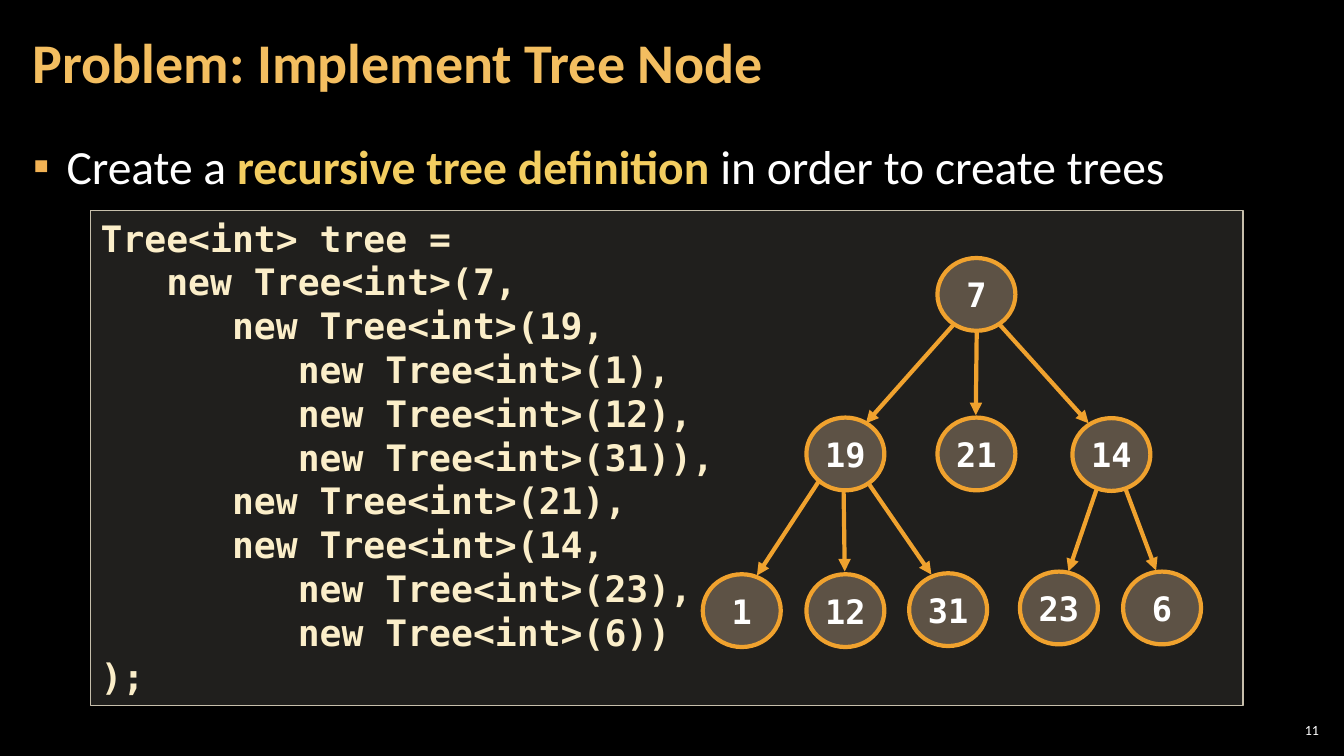
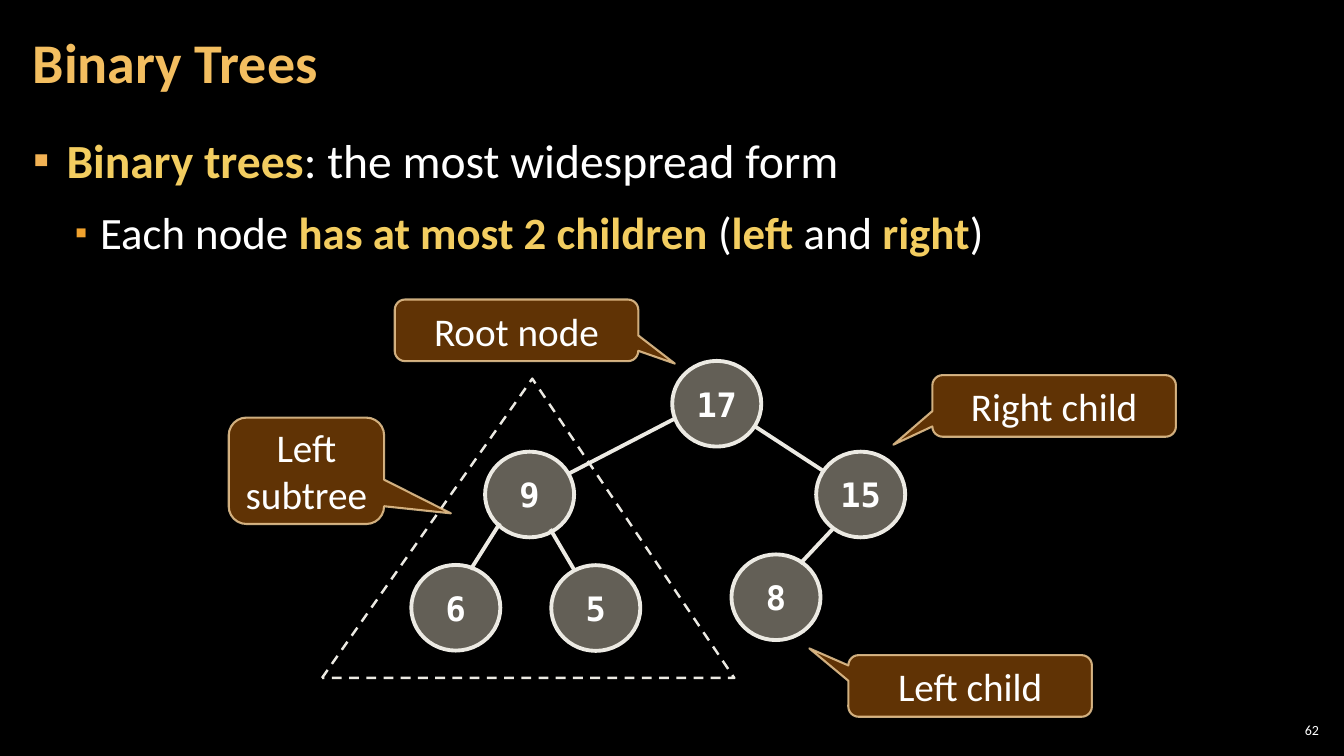
from dataclasses import dataclass

from pptx import Presentation
from pptx.dml.color import RGBColor
from pptx.enum.dml import MSO_LINE
from pptx.enum.shapes import MSO_CONNECTOR, MSO_SHAPE
from pptx.enum.text import MSO_ANCHOR, MSO_AUTO_SIZE, PP_ALIGN
from pptx.oxml.ns import qn
from pptx.oxml.xmlchemy import OxmlElement
from pptx.util import Pt

LEFT, CENTER, RIGHT = PP_ALIGN.LEFT, PP_ALIGN.CENTER, PP_ALIGN.RIGHT
TOP, MIDDLE = MSO_ANCHOR.TOP, MSO_ANCHOR.MIDDLE
NO_AUTOFIT = MSO_AUTO_SIZE.NONE
STRAIGHT = MSO_CONNECTOR.STRAIGHT
DASH = MSO_LINE.DASH
RECTANGLE, ELLIPSE = MSO_SHAPE.RECTANGLE, MSO_SHAPE.OVAL
TRIANGLE, CALLOUT = MSO_SHAPE.ISOSCELES_TRIANGLE, MSO_SHAPE.ROUNDED_RECTANGULAR_CALLOUT


@dataclass(frozen=True)
class Theme:
    font: str = "Calibri"
    code_font: str = "DejaVu Sans Mono"
    background: str = "000000"
    text: str = "FFFFFF"
    title: str = "F3BE60"
    emphasis: str = "F3CD60"
    bullets: tuple = ("F2B254", "F0A22E")
    code: str = "FBEEC9"
    panel_fill: str = "D9D5C7"
    panel_line: str = "C7BFAC"
    amber_fill: str = "ECC8A4"
    amber_line: str = "F0A22E"
    grey_fill: str = "C7BFAC"
    grey_line: str = "ECEAE3"
    callout_fill: str = "663606"
    callout_line: str = "F8D49E"
    title_size: int = 40
    body_sizes: tuple = (34, 32)
    code_size: int = 26
    node_size: int = 24
    callout_size: int = 28
    number_size: int = 10


THEME = Theme()


def paint(shape, fill, fill_opacity, line, width, line_opacity=100):
    shape.shadow.inherit = False
    shape.line.color.rgb = RGBColor.from_string(line)
    shape.line.width = Pt(width)
    properties = shape.element.spPr
    solids = [(properties.find(qn("a:ln")).find(qn("a:solidFill")), line_opacity)]
    if fill:
        shape.fill.solid()
        shape.fill.fore_color.rgb = RGBColor.from_string(fill)
        solids.append((properties.find(qn("a:solidFill")), fill_opacity))
    else:
        shape.fill.background()
    for solid, opacity in solids:
        if opacity < 100:
            alpha = OxmlElement("a:alpha")
            alpha.set("val", str(opacity * 1000))
            solid[0].append(alpha)


def write(frame, text, font, size, color, bold=False, align=LEFT, anchor=MIDDLE, wrap=True):
    frame.text = text
    frame.word_wrap = wrap
    frame.auto_size = NO_AUTOFIT
    frame.vertical_anchor = anchor
    for paragraph in frame.paragraphs:
        paragraph.alignment = align
        for run in paragraph.runs:
            run.font.name = font
            run.font.size = Pt(size)
            run.font.bold = bold
            run.font.color.rgb = RGBColor.from_string(color)


prs = Presentation()
prs.slide_width, prs.slide_height = Pt(960), Pt(540)
master_fill = prs.slide_master.background.fill
master_fill.solid()
master_fill.fore_color.rgb = RGBColor.from_string(THEME.background)

CONTENT = [
    ("Problem: Implement Tree Node", "11", 1.1,
     ["Create a *recursive tree definition *in order to create trees"]),
    ("Binary Trees", "62", 1.0,
     ["*Binary trees*: the most widespread form",
      "Each node *has at most 2 children* (*left* and *right*)"]),
]
BULLET_INDENTS = [(24, -24), (48, -18)]
BULLET_PERCENTS = [100, 80]

for title, number, line_spacing, points in CONTENT:
    slide = prs.slides.add_slide(prs.slide_layouts[1])
    heading, body = slide.placeholders
    heading.left, heading.top, heading.width, heading.height = Pt(15), Pt(3), Pt(754), Pt(87)
    body.left, body.top, body.width, body.height = Pt(15), Pt(90.7), Pt(930), Pt(438.5)
    for frame in (heading.text_frame, body.text_frame):
        frame.margin_left = frame.margin_right = Pt(8.5)
        frame.margin_top = frame.margin_bottom = Pt(2.83)

    write(heading.text_frame, title, THEME.font, THEME.title_size, THEME.title, bold=True)
    heading.text_frame.paragraphs[0].line_spacing = 0.9

    frame = body.text_frame
    frame.word_wrap = True
    frame.auto_size = NO_AUTOFIT
    frame.vertical_anchor = TOP
    for level, point in enumerate(points):
        paragraph = frame.add_paragraph() if level else frame.paragraphs[0]
        paragraph.level = level
        properties = paragraph._p.get_or_add_pPr()
        margin, indent = BULLET_INDENTS[level]
        properties.set("marL", str(int(Pt(margin))))
        properties.set("indent", str(int(Pt(indent))))
        bullet_color = OxmlElement("a:buClr")
        bullet_rgb = OxmlElement("a:srgbClr")
        bullet_rgb.set("val", THEME.bullets[level])
        bullet_color.append(bullet_rgb)
        bullet_size = OxmlElement("a:buSzPct")
        bullet_size.set("val", str(BULLET_PERCENTS[level] * 1000))
        bullet = OxmlElement("a:buChar")
        bullet.set("char", "▪")
        for element in (bullet_color, bullet_size, bullet):
            properties.append(element)
        paragraph.line_spacing = line_spacing
        paragraph.space_before = Pt(6 if level else 0)
        paragraph.space_after = Pt(6)
        for position, part in enumerate(point.split("*")):
            if part:
                emphasized = position % 2 == 1
                run = paragraph.add_run()
                run.text = part
                run.font.name = THEME.font
                run.font.size = Pt(THEME.body_sizes[level])
                run.font.bold = emphasized
                run.font.color.rgb = RGBColor.from_string(
                    THEME.emphasis if emphasized else THEME.text)

    page = slide.shapes.add_textbox(Pt(911), Pt(514), Pt(34), Pt(15)).text_frame
    page.margin_left = page.margin_right = page.margin_top = page.margin_bottom = Pt(2.83)
    write(page, number, THEME.font, THEME.number_size, THEME.text, align=RIGHT)

definition_slide, binary_slide = prs.slides

CODE = """Tree<int> tree =
   new Tree<int>(7,
      new Tree<int>(19,
         new Tree<int>(1),
         new Tree<int>(12),
         new Tree<int>(31)),
      new Tree<int>(21),
      new Tree<int>(14,
         new Tree<int>(23),
         new Tree<int>(6))
);"""
panel = definition_slide.shapes.add_shape(RECTANGLE, Pt(64.8), Pt(150.4), Pt(823), Pt(353.5))
paint(panel, THEME.panel_fill, 15, THEME.panel_line, 1)
write(panel.text_frame, CODE, THEME.code_font, THEME.code_size, THEME.code, bold=True, anchor=TOP)
for code_line in panel.text_frame.paragraphs:
    code_line.line_spacing = Pt(31.3)

TREES = [
    {
        "slide": definition_slide, "node": (55.7, 52), "arrow": True,
        "fill": THEME.amber_fill, "opacity": 30, "line": THEME.amber_line, "width": 3,
        "nodes": {
            "7": (669.6, 184.3),
            "19": (576, 298.3), "21": (669.6, 298.3), "14": (766, 298.7),
            "1": (502, 410.2), "12": (576, 410.2), "31": (649.4, 409.5),
            "23": (728.5, 408.3), "6": (802.2, 408.3),
        },
        "edges": [
            (681, 232, 618.5, 302.4), (697.7, 235.4, 697, 296.6), (714.2, 232, 777.6, 302.4),
            (584.6, 344.2, 540.7, 411.1), (602.6, 351.4, 603.4, 408.2),
            (620.6, 345.6, 665.3, 410.4),
            (783.4, 349.2, 763.2, 408.2), (804.2, 349.9, 825.8, 407.5),
        ],
    },
    {
        "slide": binary_slide, "node": (63.6, 61.2), "arrow": False,
        "fill": THEME.grey_fill, "opacity": 50, "line": THEME.grey_line, "width": 2.75,
        "nodes": {
            "17": (480.2, 257.8), "15": (583, 322.6), "9": (346.5, 322.6),
            "6": (293.8, 403.5), "5": (393.8, 403.7), "8": (522.5, 396),
        },
        "edges": [
            (482.4, 298.8, 406.1, 338.4), (539.3, 304.6, 589, 337),
            (357.1, 373.7, 336.2, 406.8), (393.1, 378, 410.4, 407.5),
            (594.7, 378, 571.7, 402.5),
        ],
    },
]

for tree in TREES:
    shapes = tree["slide"].shapes
    node_width, node_height = tree["node"]
    for value, (left, top) in tree["nodes"].items():
        node = shapes.add_shape(ELLIPSE, Pt(left), Pt(top), Pt(node_width), Pt(node_height))
        paint(node, tree["fill"], tree["opacity"], tree["line"], tree["width"])
        write(node.text_frame, value, THEME.code_font, THEME.node_size, THEME.text,
              bold=True, align=CENTER, wrap=False)
    for ends in tree["edges"]:
        edge = shapes.add_connector(STRAIGHT, *[Pt(end) for end in ends])
        edge.line.color.rgb = RGBColor.from_string(tree["line"])
        edge.line.width = Pt(tree["width"])
        if tree["arrow"]:
            arrowhead = OxmlElement("a:tailEnd")
            arrowhead.set("type", "triangle")
            edge.element.spPr.find(qn("a:ln")).append(arrowhead)
        edge.element.spPr.append(OxmlElement("a:effectLst"))

subtree = binary_slide.shapes.add_shape(TRIANGLE, Pt(230), Pt(270.5), Pt(294.5), Pt(213.8))
subtree.adjustments[0] = 0.51
paint(subtree, None, 0, THEME.grey_line, 1.75)
subtree.line.dash_style = DASH

CALLOUTS = [
    ("Root node", 282, 214, 174, 44, 0.65, 0.54),
    ("Left\nsubtree", 163.4, 298.3, 111, 76, 0.93, 0.4),
    ("Right child", 666, 268, 174, 44, -0.66, 0.63),
    ("Left child", 606, 468, 174, 44, -0.66, -0.61),
]
for label, left, top, width, height, tip_x, tip_y in CALLOUTS:
    callout = binary_slide.shapes.add_shape(CALLOUT, Pt(left), Pt(top), Pt(width), Pt(height))
    callout.adjustments[0], callout.adjustments[1] = tip_x, tip_y
    paint(callout, THEME.callout_fill, 95, THEME.callout_line, 1.5, 80)
    write(callout.text_frame, label, THEME.font, THEME.callout_size, THEME.text, align=CENTER)

prs.save("out.pptx")
